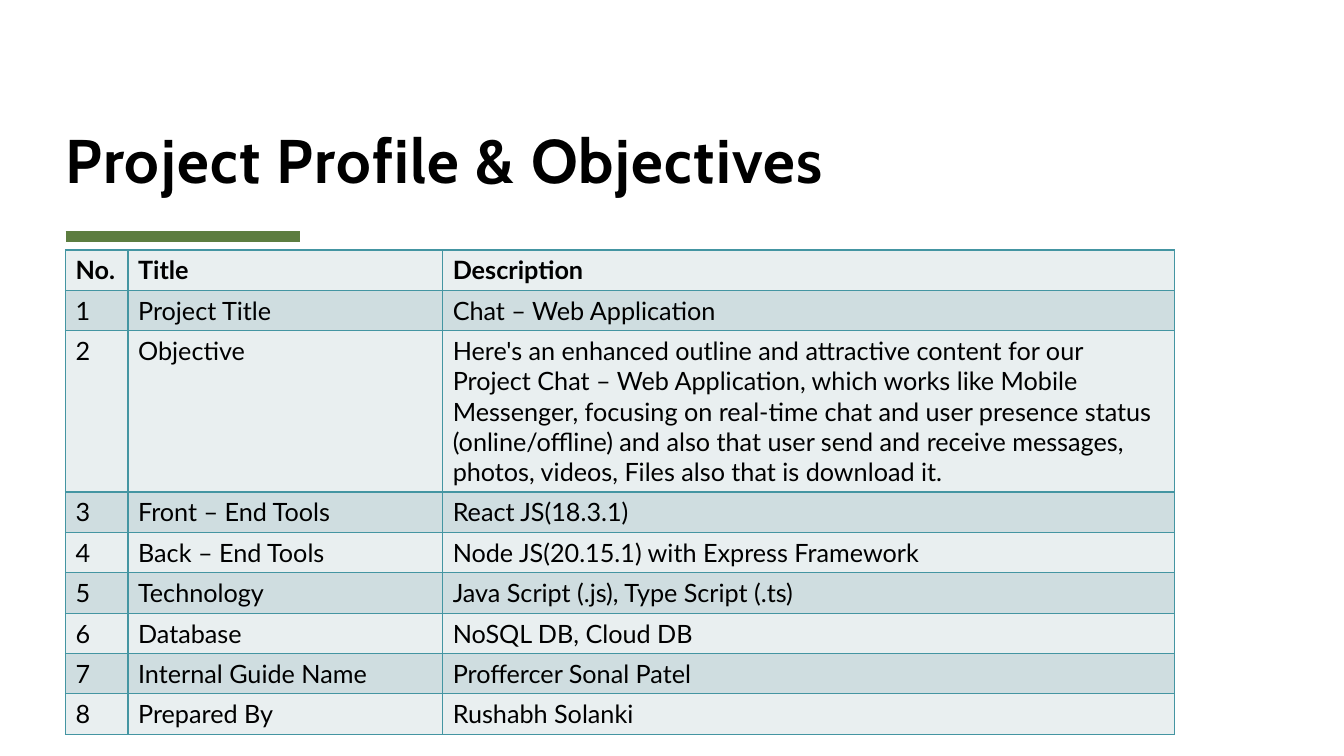
from lxml.etree import SubElement
from pptx import Presentation
from pptx.dml.color import RGBColor
from pptx.enum.shapes import MSO_CONNECTOR
from pptx.enum.text import MSO_ANCHOR
from pptx.oxml.ns import qn
from pptx.util import Inches, Pt

COLORS = {
    "ink": "000000",
    "accent": "5D7D40",
    "border": "4495A2",
    "light": "E9EFF0",
    "dark": "CFDDE0",
}
GRID = 100  # columns and rows on the slide
LEFT = 4.88
ROW_HEIGHT = 5.33

PROFILE = [
    ("No.", "Title", "Description"),
    ("1", "Project Title", "Chat – Web Application"),
    ("2", "Objective",
     "Here's an enhanced outline and attractive content for our Project "
     "Chat – Web Application, which works like Mobile Messenger, focusing on "
     "real-time chat and user presence status (online/offline) and also that "
     "user send and receive messages, photos, videos, Files also that is "
     "download it."),
    ("3", "Front – End Tools", "React JS(18.3.1)"),
    ("4", "Back – End Tools", "Node JS(20.15.1) with Express Framework"),
    ("5", "Technology", "Java Script (.js), Type Script (.ts)"),
    ("6", "Database", "NoSQL DB, Cloud DB"),
    ("7", "Internal Guide Name", "Proffercer Sonal Patel"),
    ("8", "Prepared By", "Rushabh Solanki"),
]


def color(name):
    return RGBColor.from_string(COLORS[name])


def write(frame, text, font="Lato", size=18, bold=False, line_spacing=None, tracking=0):
    """Fill a text frame with one run; tracking is in points."""
    frame.word_wrap = True
    para = frame.paragraphs[0]
    if line_spacing:
        para.line_spacing = line_spacing
    span = para.add_run()
    span.text = text
    span.font.name = font
    span.font.size = Pt(size)
    span.font.bold = bold
    span.font.color.rgb = color("ink")
    if tracking:
        span._r.get_or_add_rPr().set("spc", str(tracking * 100))


def add_borders(cell, name, width=1):
    properties = cell._tc.get_or_add_tcPr()
    for side in ("a:lnL", "a:lnR", "a:lnT", "a:lnB"):
        line = SubElement(properties, qn(side), w=str(Pt(width)))
        fill = SubElement(line, qn("a:solidFill"))
        SubElement(fill, qn("a:srgbClr"), val=COLORS[name])


class SlideBuilder:
    """Places elements on one slide; lengths are grid columns and rows."""

    def __init__(self, deck):
        self.deck = deck
        self.slide = deck.slides.add_slide(deck.slide_layouts[6])

    def across(self, columns):
        return round(self.deck.slide_width * columns / GRID)

    def down(self, rows):
        return round(self.deck.slide_height * rows / GRID)

    def title(self, text, left, top, width, height):
        box = self.slide.shapes.add_textbox(
            self.across(left), self.down(top), self.across(width), self.down(height))
        frame = box.text_frame
        frame.vertical_anchor = MSO_ANCHOR.BOTTOM
        frame.margin_left = frame.margin_right = 0
        frame.margin_top = frame.margin_bottom = 0
        write(frame, text, font="Cabin", size=44, bold=True, line_spacing=0.8, tracking=1)

    def rule(self, left, top, width, weight):
        line = self.slide.shapes.add_connector(
            MSO_CONNECTOR.STRAIGHT, self.across(left), self.down(top),
            self.across(left + width), self.down(top))
        line.line.color.rgb = color("accent")
        line.line.width = Pt(weight)
        SubElement(line._element.spPr, qn("a:effectLst"))

    def table(self, records, left, top, widths, heights):
        table = self.slide.shapes.add_table(
            len(records), len(widths), self.across(left), self.down(top),
            self.across(sum(widths)), self.down(sum(heights))).table
        for column, width in zip(table.columns, widths):
            column.width = self.across(width)
        for index, (row, record) in enumerate(zip(table.rows, records)):
            row.height = self.down(heights[index])
            for cell, text in zip(row.cells, record):
                add_borders(cell, "border")
                cell.fill.solid()
                cell.fill.fore_color.rgb = color("dark" if index % 2 else "light")
                write(cell.text_frame, text, bold=index == 0)


def main():
    deck = Presentation()
    deck.slide_width, deck.slide_height = Inches(13.33), Inches(7.5)
    page = SlideBuilder(deck)
    page.rule(LEFT, 31.33, width=17.48, weight=8)
    page.title("Project Profile & Objectives", LEFT, 2.93, width=90, height=22.93)
    heights = [ROW_HEIGHT * (4 if record[1] == "Objective" else 1) for record in PROFILE]
    page.table(PROFILE, LEFT, 33.07, widths=(4.65, 23.41, 54.46), heights=heights)
    deck.save("out.pptx")


if __name__ == "__main__":
    main()
